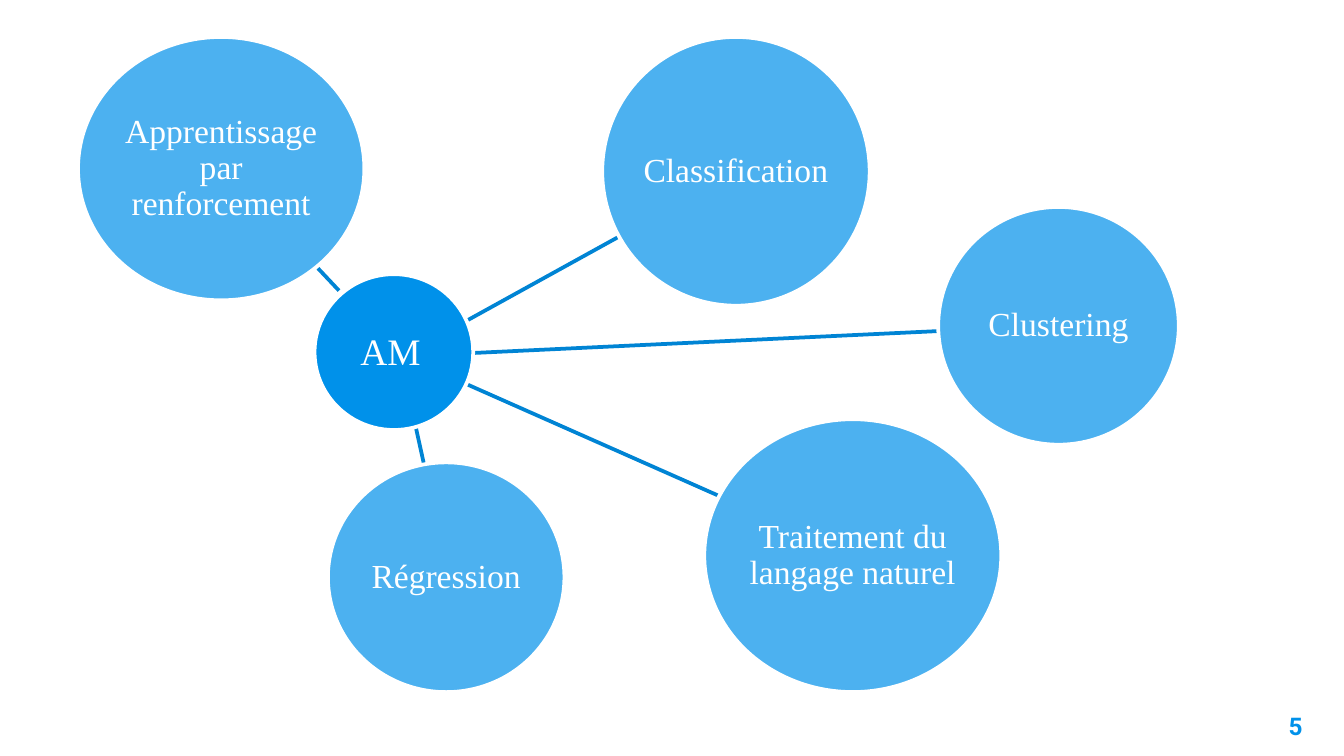
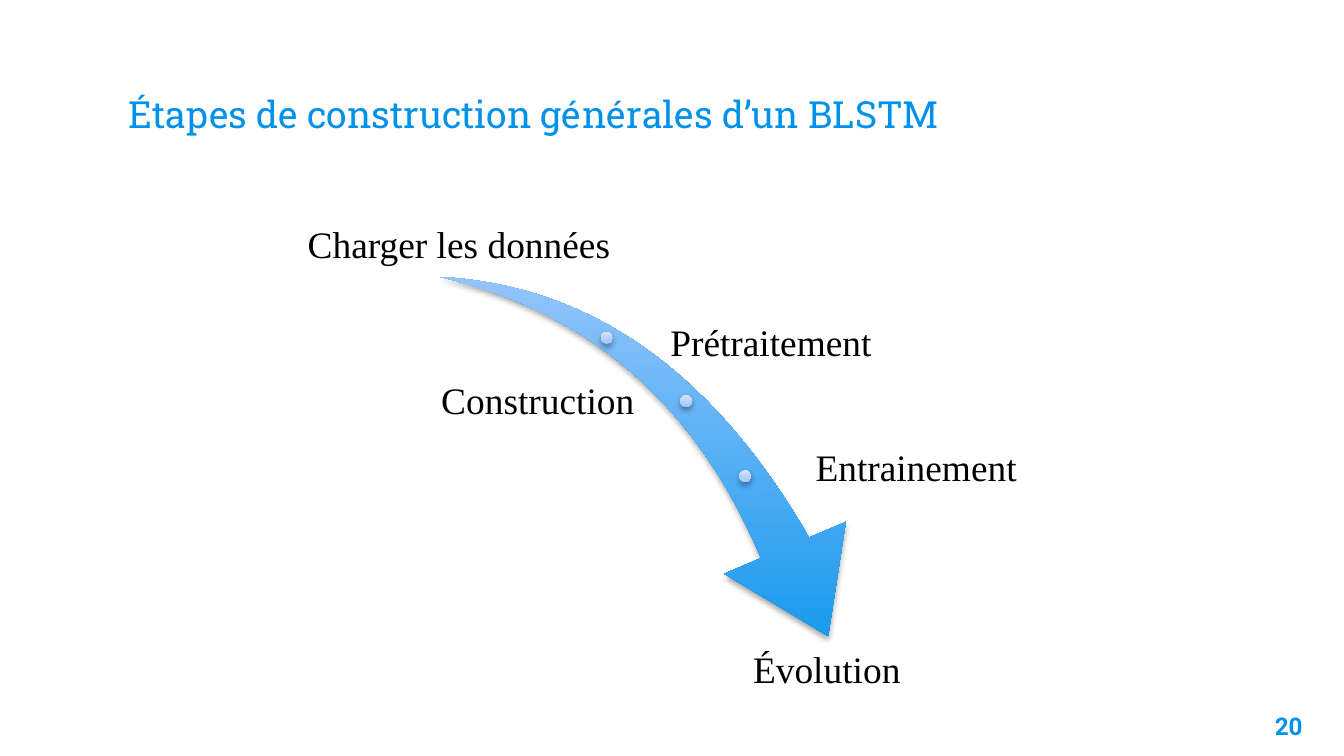
"""Builds two slides: a map of machine-learning fields and the steps of a BLSTM."""
from dataclasses import dataclass
from typing import Any, NamedTuple

from lxml import etree
from pptx import Presentation
from pptx.dml.color import RGBColor
from pptx.enum.shapes import MSO_CONNECTOR, MSO_SHAPE
from pptx.enum.text import MSO_ANCHOR, PP_ALIGN
from pptx.oxml.ns import qn
from pptx.util import Pt

ELLIPSE, SWOOSH = MSO_SHAPE.OVAL, MSO_SHAPE.SWOOSH_ARROW
STRAIGHT = MSO_CONNECTOR.STRAIGHT
TOP, MIDDLE, BOTTOM = MSO_ANCHOR.TOP, MSO_ANCHOR.MIDDLE, MSO_ANCHOR.BOTTOM
LEFT, CENTER, RIGHT = PP_ALIGN.LEFT, PP_ALIGN.CENTER, PP_ALIGN.RIGHT
BLANK_LAYOUT = 6


@dataclass(frozen=True)
class Theme:
    """Colours, fonts and sizes shared by the slides."""
    accent: str = "0091EA"
    link: str = "0084D4"
    white: str = "FFFFFF"
    black: str = "000000"
    arrow_light: str = "B2CFFF"
    dot_dark: str = "A0C4FD"
    dot_light: str = "D4E3FF"
    body_font: str = "Times New Roman"
    title_font: str = "Roboto Slab"
    number_font: str = "Roboto"
    large: float = 20
    medium: float = 18
    small: float = 13
    line: float = 2
    tight: float = 0.9
    bubble_alpha: int = 70
    shadow_alpha: int = 35
    shadow_blur: float = 3.1
    shadow_distance: float = 1.8


THEME = Theme()


class Area(NamedTuple):
    """A rectangle in points."""
    left: float
    top: float
    width: float
    height: float


class Inset(NamedTuple):
    """Text margins in points."""
    left: float
    top: float
    right: float
    bottom: float


class Link(NamedTuple):
    """A straight line between two points."""
    start_x: float
    start_y: float
    end_x: float
    end_y: float


class Bubble(NamedTuple):
    """A field drawn around the hub."""
    text: str
    area: Area


@dataclass(frozen=True)
class TextStyle:
    """How a piece of text is set."""
    font: str = THEME.body_font
    size: float = THEME.large
    color: str = THEME.black
    bold: bool = False
    align: Any = CENTER
    anchor: Any = MIDDLE
    spacing: float = 1.0
    inset: Inset = Inset(2, 2, 2, 2)


class Step(NamedTuple):
    """A labelled step beside the arrow."""
    text: str
    area: Area
    align: Any
    anchor: Any
    inset: Inset


WIDE_INSET = Inset(7.2, 7.2, 7.2, 7.2)
TITLE_STYLE = TextStyle(THEME.title_font, color=THEME.accent, align=LEFT,
                        anchor=BOTTOM, inset=WIDE_INSET)
NUMBER_STYLE = TextStyle(THEME.number_font, THEME.small, THEME.accent, True,
                         RIGHT, TOP, inset=WIDE_INSET)
BUBBLE_STYLE = TextStyle(size=THEME.medium, color=THEME.white,
                         spacing=THEME.tight, inset=Inset(0.5, 0.5, 0.5, 0.5))
HUB_STYLE = TextStyle(color=THEME.white, anchor=TOP, inset=Inset(0, 3.6, 0, 3.6))

TITLE_AREA = Area(61.9, 24.5, 596.2, 55.4)
NUMBER_AREA = Area(661.7, 373.7, 43.2, 31)
HUB_AREA = Area(168.5, 146.9, 85, 83.5)
HUB_TEXT_AREA = Area(185.8, 172.1, 46.8, 31.7)
LINKS = (
    Link(181.6, 155.7, 170.2, 143.6),
    Link(250.6, 206.1, 384.8, 265.5),
    Link(253.7, 189.1, 502.2, 177.4),
    Link(250.6, 171.5, 331.4, 126.9),
    Link(222.8, 229, 227.1, 248.5),
)
BUBBLES = (
    Bubble("Régression", Area(175.7, 247.7, 126.7, 123.1)),
    Bubble("Classification", Area(322.6, 19.8, 143.3, 144)),
    Bubble("Clustering", Area(502.6, 110.9, 128.9, 127.4)),
    Bubble("Traitement du langage naturel", Area(377.3, 224.6, 159.1, 146.2)),
    Bubble("Apprentissage par renforcement", Area(41.8, 19.8, 153.4, 141.1)),
)

ARROW_AREA = Area(230.4, 155.5, 244.1, 170.6)
ARROW_ROTATION = 73.3
ARROW_SHAPE = (0.163, 0.314)
DOT_SIZE = 6.5
DOTS = ((321.8, 177.8), (364.3, 211.7), (396, 252))
STEP_HEIGHT = 45.4
STEPS = (
    Step("Charger les données", Area(144.7, 99.4, 207.4, STEP_HEIGHT),
         CENTER, BOTTOM, Inset(2, 2, 7, 2)),
    Step("Prétraitement", Area(357.1, 158.4, 167.8, STEP_HEIGHT),
         LEFT, MIDDLE, Inset(2, 8.4, 2, 2)),
    Step("Construction", Area(213.8, 192.2, 133.9, STEP_HEIGHT),
         RIGHT, MIDDLE, Inset(2, 3.4, 7.8, 2)),
    Step("Entrainement", Area(434.9, 229, 156.2, STEP_HEIGHT),
         LEFT, MIDDLE, Inset(2, 2, 2, 2)),
    Step("Évolution", Area(369.4, 337, 155.5, STEP_HEIGHT),
         CENTER, TOP, Inset(2, 12, 10.4, 2)),
)


def points(values: tuple[float, ...]) -> list[Pt]:
    """Turn plain numbers into lengths."""
    return [Pt(value) for value in values]


def apply(target: Any, values: dict[str, Any]) -> None:
    """Set each named attribute on the target."""
    for name, value in values.items():
        setattr(target, name, value)


def write(shape: Any, text: str, style: TextStyle) -> None:
    """Put one styled paragraph into a shape."""
    frame = shape.text_frame
    apply(frame, {"word_wrap": True, "vertical_anchor": style.anchor})
    apply(frame, {f"margin_{side}": Pt(value)
                  for side, value in zip(Inset._fields, style.inset)})
    para = frame.paragraphs[0]
    apply(para, {"alignment": style.align, "line_spacing": style.spacing})
    span = para.add_run()
    span.text = text
    apply(span.font, {"name": style.font, "size": Pt(style.size), "bold": style.bold})
    span.font.color.rgb = RGBColor.from_string(style.color)


def add_text(page: Any, text: str, area: Area, style: TextStyle) -> None:
    """Add a text box."""
    write(page.shapes.add_textbox(*points(area)), text, style)


def add_link(page: Any, link: Link) -> None:
    """Draw a line from the hub to a bubble."""
    line = page.shapes.add_connector(STRAIGHT, *points(link))
    line.line.color.rgb = RGBColor.from_string(THEME.link)
    line.line.width = Pt(THEME.line)
    etree.SubElement(line._element.spPr, qn("a:effectLst"))


def add_circle(page: Any, area: Area, alpha: int = 100) -> Any:
    """Draw an accent ellipse with a white rim."""
    circle = page.shapes.add_shape(ELLIPSE, *points(area))
    circle.shadow.inherit = False
    circle.fill.solid()
    circle.fill.fore_color.rgb = RGBColor.from_string(THEME.accent)
    if alpha < 100:
        color = circle._element.spPr.find(f"{qn('a:solidFill')}/{qn('a:srgbClr')}")
        etree.SubElement(color, qn("a:alpha"), val=str(alpha * 1000))
    circle.line.color.rgb = RGBColor.from_string(THEME.white)
    circle.line.width = Pt(THEME.line)
    return circle


def add_shaded(page: Any, kind: Any, area: Area, dark: str, light: str) -> Any:
    """Draw a shape with an upward gradient and a soft shadow."""
    shape = page.shapes.add_shape(kind, *points(area))
    shape.line.fill.background()
    shape.fill.gradient()
    shape.fill.gradient_angle = 90
    for stop, color, position in zip(shape.fill.gradient_stops, (dark, light), (0, 1)):
        stop.color.rgb = RGBColor.from_string(color)
        stop.position = position
    properties = shape._element.spPr
    properties.find(qn("a:gradFill")).set("rotWithShape", "0")
    shape.shadow.inherit = False
    shadow = etree.SubElement(
        properties.find(qn("a:effectLst")), qn("a:outerShdw"),
        blurRad=str(Pt(THEME.shadow_blur)), dist=str(Pt(THEME.shadow_distance)),
        dir="5400000", rotWithShape="0")
    color = etree.SubElement(shadow, qn("a:srgbClr"), val=THEME.black)
    etree.SubElement(color, qn("a:alpha"), val=str(THEME.shadow_alpha * 1000))
    return shape


def add_page(deck: Any, number: int) -> Any:
    """Add a blank slide with its number."""
    page = deck.slides.add_slide(deck.slide_layouts[BLANK_LAYOUT])
    add_text(page, str(number), NUMBER_AREA, NUMBER_STYLE)
    return page


def build_fields(deck: Any) -> None:
    """Build the map of machine-learning fields."""
    page = add_page(deck, 5)
    for link in LINKS:
        add_link(page, link)
    add_circle(page, HUB_AREA)
    for bubble in BUBBLES:
        circle = add_circle(page, bubble.area, THEME.bubble_alpha)
        write(circle, bubble.text, BUBBLE_STYLE)
    add_text(page, "AM", HUB_TEXT_AREA, HUB_STYLE)


def build_steps(deck: Any) -> None:
    """Build the arrow of construction steps."""
    page = add_page(deck, 20)
    add_text(page, "Étapes de construction générales d’un BLSTM", TITLE_AREA, TITLE_STYLE)
    arrow = add_shaded(page, SWOOSH, ARROW_AREA, THEME.accent, THEME.arrow_light)
    arrow.rotation = ARROW_ROTATION
    for index, value in enumerate(ARROW_SHAPE):
        arrow.adjustments[index] = value
    for left, top in DOTS:
        add_shaded(page, ELLIPSE, Area(left, top, DOT_SIZE, DOT_SIZE),
                   THEME.dot_dark, THEME.dot_light)
    for step in STEPS:
        style = TextStyle(align=step.align, anchor=step.anchor,
                          spacing=THEME.tight, inset=step.inset)
        add_text(page, step.text, step.area, style)


def main() -> None:
    """Build and save the deck."""
    deck = Presentation()
    apply(deck, {"slide_width": Pt(720), "slide_height": Pt(405)})
    build_fields(deck)
    build_steps(deck)
    deck.save("out.pptx")


if __name__ == "__main__":
    main()
